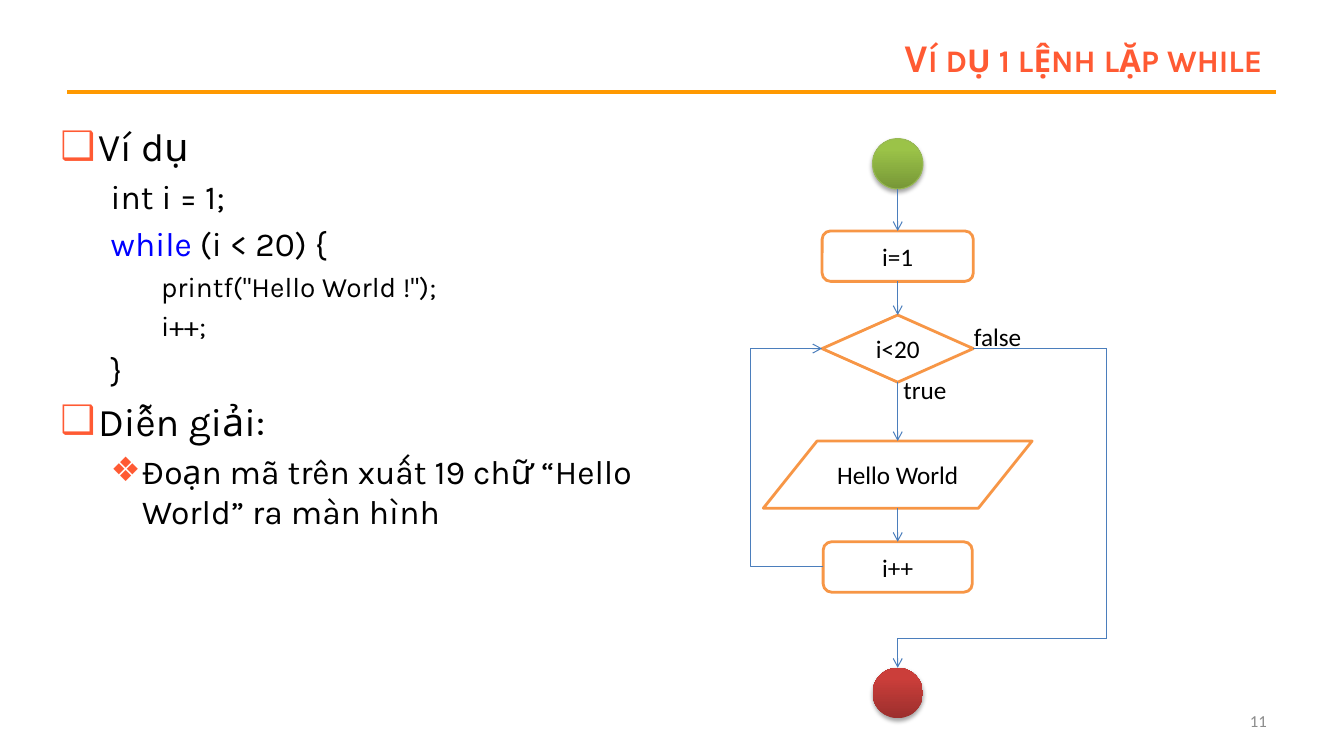
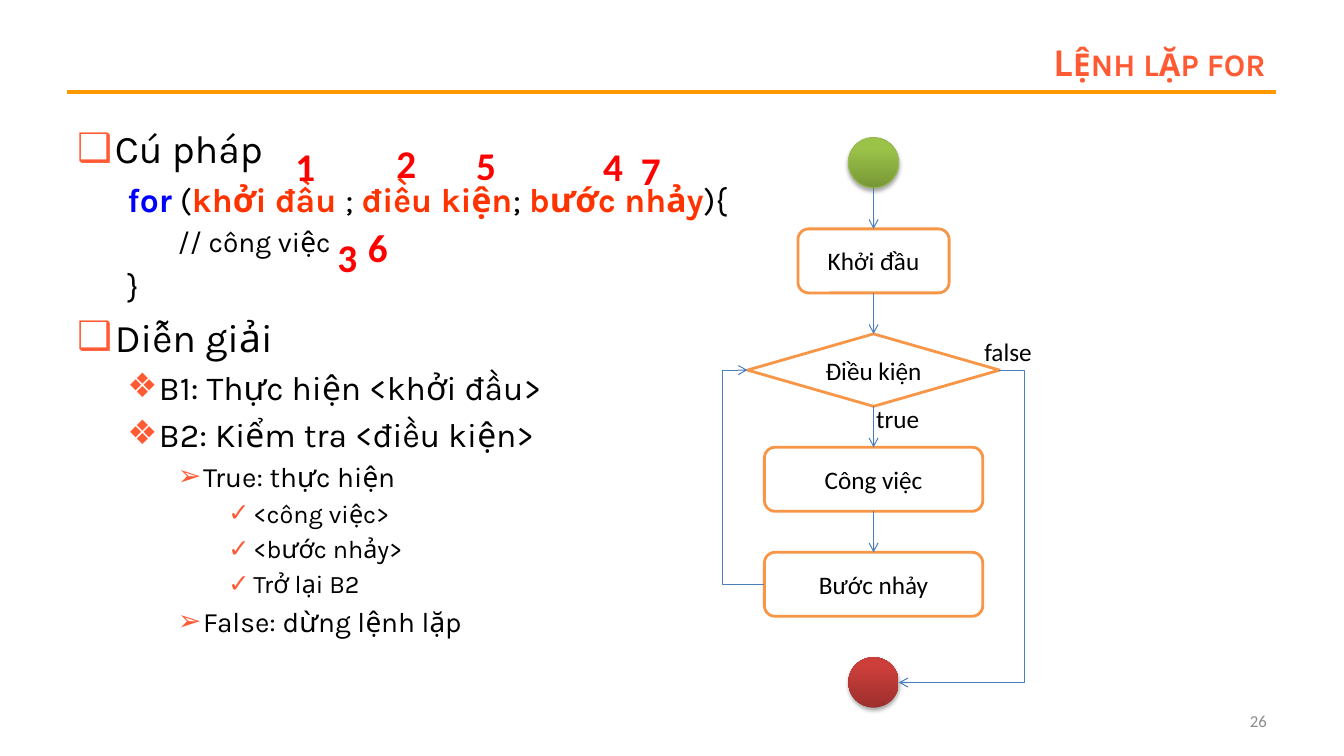
from itertools import pairwise

from lxml import etree
from pptx import Presentation
from pptx.dml.color import RGBColor
from pptx.enum.shapes import MSO_CONNECTOR, MSO_SHAPE
from pptx.enum.text import MSO_ANCHOR, MSO_AUTO_SIZE, PP_ALIGN
from pptx.oxml.ns import qn
from pptx.util import Pt

EMU_PER_PX = 9525
SLIDE_W, SLIDE_H = 1280, 720
TOP, LEFT, BOTTOM, RIGHT = range(4)
STRAIGHT, ELBOW = MSO_CONNECTOR.STRAIGHT, MSO_CONNECTOR.ELBOW
OVAL, ROUNDED = MSO_SHAPE.OVAL, MSO_SHAPE.ROUNDED_RECTANGLE
DECISION, OUTPUT = MSO_SHAPE.FLOWCHART_DECISION, MSO_SHAPE.FLOWCHART_DATA
ALIGN_LEFT, ALIGN_CENTER, ALIGN_RIGHT = PP_ALIGN.LEFT, PP_ALIGN.CENTER, PP_ALIGN.RIGHT
ANCHOR_TOP, ANCHOR_MIDDLE = MSO_ANCHOR.TOP, MSO_ANCHOR.MIDDLE
NO_AUTOFIT = MSO_AUTO_SIZE.NONE

HEADING_FONT, DIAGRAM_FONT = "Karla", "Calibri"
BLACK, WHITE, RED = "000000", "FFFFFF", "FF0000"
ACCENT, RULE, NUMBER = "FF5A33", "FF9900", "8C8C8C"
KEYWORD, PARAMETER = "0000FF", "FF3300"
NODE_LINE, FLOW_LINE = "F79646", "4B7EBC"
START_COLORS, END_COLORS = ("779737", "9BC348"), ("9C2F2D", "CB3E3A")
TERMINAL = 48

OUTLINE = {
    "heading": (0, 28, 36, -36, "❑"),
    "code": (1, 24, 48, 0, None),
    "inner code": (2, 20, 96, 0, None),
    "point": (1, 24, 78, -30, "❖"),
    "case": (2, 20, 120, -24, "➢"),
    "step": (3, 18, 168, -24, "✓"),
}


def px(*lengths):
    return [round(length * EMU_PER_PX) for length in lengths]


def rgb(color):
    return RGBColor.from_string(color)


def write(paragraph, text, size=18, font=DIAGRAM_FONT, color=BLACK, bold=False,
          small_caps=False, align=None):
    if align is not None:
        paragraph.alignment = align
    run = paragraph.add_run()
    run.text = text
    run.font.size = Pt(size)
    run.font.name = font
    run.font.bold = bold
    run.font.color.rgb = rgb(color)
    if small_caps:
        run.font._element.set("cap", "small")


def add_label(slide, box, text, anchor=ANCHOR_TOP, **text_format):
    frame = slide.shapes.add_textbox(*px(*box)).text_frame
    frame.word_wrap = True
    frame.vertical_anchor = anchor
    write(frame.paragraphs[0], text, **text_format)


def add_line(slide, start, end, color=FLOW_LINE, width=0.75, arrow=False, kind=STRAIGHT):
    line = slide.shapes.add_connector(kind, *px(*start, *end))
    line.line.color.rgb = rgb(color)
    line.line.width = Pt(width)
    if arrow:
        etree.SubElement(line.line._get_or_add_ln(), qn("a:tailEnd"), type="arrow")
    etree.SubElement(line._element.spPr, qn("a:effectLst"))
    return line


def add_frame(slide, title_box, title_text, number):
    add_line(slide, (64, 88), (1215, 88), RULE, 3)
    add_label(slide, (917, 667, 299, 38), number, anchor=ANCHOR_MIDDLE,
              size=12, color=NUMBER, align=ALIGN_RIGHT)
    title = slide.shapes.title
    title.left, title.top, title.width, title.height = px(*title_box)
    frame = title.text_frame
    frame.auto_size = NO_AUTOFIT
    frame.vertical_anchor = ANCHOR_MIDDLE
    write(frame.paragraphs[0], title_text, size=28, font=HEADING_FONT, color=ACCENT,
          bold=True, small_caps=True, align=ALIGN_RIGHT)


def add_outline(slide, box, entries):
    frame = slide.shapes.add_textbox(*px(*box)).text_frame
    frame.word_wrap = True
    for index, (style, *runs) in enumerate(entries):
        level, size, margin, indent, bullet = OUTLINE[style]
        paragraph = frame.add_paragraph() if index else frame.paragraphs[0]
        paragraph.level = level
        paragraph.alignment = ALIGN_LEFT
        paragraph.space_before = Pt(size * 0.2)
        properties = paragraph._p.get_or_add_pPr()
        margin, indent = px(margin, indent)
        properties.set("marL", str(margin))
        properties.set("indent", str(indent))
        if bullet:
            bullet_color = etree.SubElement(properties, qn("a:buClr"))
            etree.SubElement(bullet_color, qn("a:srgbClr"), val=ACCENT)
            etree.SubElement(properties, qn("a:buFont"), typeface=HEADING_FONT)
            etree.SubElement(properties, qn("a:buChar"), char=bullet)
        for text, color, bold in runs:
            write(paragraph, text, size=size, font=HEADING_FONT, color=color, bold=bold)


def plain(text):
    return text, BLACK, False


def add_terminal(slide, center, top, colors, outline=None):
    terminal = slide.shapes.add_shape(
        OVAL, *px(center - TERMINAL / 2, top, TERMINAL, TERMINAL))
    terminal.fill.gradient()
    terminal.fill.gradient_angle = 90
    for stop, color, position in zip(terminal.fill.gradient_stops, colors, (0, 0.8)):
        stop.color.rgb = rgb(color)
        stop.position = position
    if outline:
        terminal.line.color.rgb = rgb(outline)
        terminal.line.width = Pt(0.75)
    else:
        terminal.line.fill.background()
    terminal.shadow.inherit = False
    effects = terminal._element.spPr.find(qn("a:effectLst"))
    shadow = etree.SubElement(effects, qn("a:outerShdw"), blurRad=str(Pt(3.1)),
                              dist=str(Pt(1.8)), dir="5400000", rotWithShape="0")
    shadow_color = etree.SubElement(shadow, qn("a:srgbClr"), val=BLACK)
    etree.SubElement(shadow_color, qn("a:alpha"), val="35000")
    return terminal


def add_node(slide, center, top, kind, text, width, height):
    node = slide.shapes.add_shape(kind, *px(center - width / 2, top, width, height))
    node.shadow.inherit = False
    node.fill.solid()
    node.fill.fore_color.rgb = rgb(WHITE)
    node.line.color.rgb = rgb(NODE_LINE)
    node.line.width = Pt(2)
    node.text_frame.vertical_anchor = ANCHOR_MIDDLE
    write(node.text_frame.paragraphs[0], text, align=ALIGN_CENTER)
    return node


def side_point(node, side):
    across, down = {TOP: (0.5, 0), LEFT: (0, 0.5), BOTTOM: (0.5, 1), RIGHT: (1, 0.5)}[side]
    return ((node.left + node.width * across) / EMU_PER_PX,
            (node.top + node.height * down) / EMU_PER_PX)


def join(slide, source, source_side, target, target_side, via_x=None):
    start, end = side_point(source, source_side), side_point(target, target_side)
    kind = STRAIGHT if via_x is None else ELBOW
    line = add_line(slide, start, end, arrow=True, kind=kind)
    links = line._element.nvCxnSpPr.cNvCxnSpPr
    if source.auto_shape_type != OUTPUT:
        line.begin_connect(source, source_side)
        if source.auto_shape_type == OVAL:
            links.stCxn.idx = source_side * 2
    if target.auto_shape_type != OUTPUT:
        line.end_connect(target, target_side)
        if target.auto_shape_type == OVAL:
            links.endCxn.idx = target_side * 2
    if via_x is not None:
        bend = round((via_x - start[0]) / (end[0] - start[0]) * 100000)
        guides = line._element.spPr.find(qn("a:prstGeom")).find(qn("a:avLst"))
        etree.SubElement(guides, qn("a:gd"), name="adj1", fmla=f"val {bend}")


def add_flowchart(slide, box, steps, gaps, loop_x, true_at, false_at):
    left, top, width, _ = box
    center = left + width / 2
    nodes = [add_terminal(slide, center, top, START_COLORS, "98B955")]
    top += TERMINAL
    for step, gap in zip(steps, gaps):
        top += gap
        nodes.append(add_node(slide, center, top, *step))
        top += step[-1]
    nodes.append(add_terminal(slide, center, top + gaps[-1], END_COLORS))
    for upper, lower in pairwise(nodes[:-1]):
        join(slide, upper, BOTTOM, lower, TOP)
    decision, last_step, end = nodes[2], nodes[-2], nodes[-1]
    join(slide, last_step, LEFT, decision, LEFT, left + loop_x)
    for text, (x, y) in (("true", true_at), ("false", false_at)):
        add_label(slide, (left + x, box[1] + y, 80, 38), text)
    return decision, end


def add_exit_route(slide, decision, end, exit_x, exit_y):
    start, finish = side_point(decision, RIGHT), side_point(end, TOP)
    corners = [start, (exit_x, start[1]), (exit_x, exit_y), (finish[0], exit_y)]
    for corner, following in pairwise(corners):
        add_line(slide, corner, following)
    add_line(slide, corners[-1], finish, arrow=True)


def add_order_marks(slide, box, marks):
    for order, (x, y) in enumerate(marks, 1):
        add_label(slide, (box[0] + x, box[1] + y, 40, 55), str(order),
                  size=28, color=RED, bold=True)


def build_while_slide(slide):
    add_frame(slide, (516, 29, 696, 51), "Ví dụ 1 lệnh lặp while", "11")
    add_outline(slide, (48, 112, 568, 552), [
        ("heading", plain("Ví dụ")),
        ("code", plain("int i = 1;")),
        ("code", ("while", KEYWORD, False), plain(" (i < 20) {")),
        ("inner code", plain('printf("Hello World !");')),
        ("inner code", plain("i++;")),
        ("code", plain("}")),
        ("heading", plain("Diễn giải:")),
        ("point", plain("Đoạn mã trên xuất 19 chữ “Hello World” ra màn hình")),
    ])
    steps = [
        (ROUNDED, "i=1", 144, 48),
        (DECISION, "i<20", 144, 64),
        (OUTPUT, "Hello World", 256, 64),
        (ROUNDED, "i++", 142, 48),
    ]
    decision, end = add_flowchart(slide, (714, 132, 282, 552), steps, (40, 32, 56, 32, 72),
                                  loop_x=0, true_at=(137, 220), false_at=(204, 169))
    add_exit_route(slide, decision, end, 1054, 608)


def build_for_slide(slide):
    add_frame(slide, (519, 32, 696, 51), "Lệnh lặp for", "26")
    outline_box = (64, 114, 864, 552)
    add_outline(slide, outline_box, [
        ("heading", plain("Cú pháp")),
        ("code", ("for", KEYWORD, True), plain(" ("), ("khởi đầu ", PARAMETER, True),
         plain("; "), ("điều kiện", PARAMETER, True), plain("; "),
         ("bước nhảy", PARAMETER, True), plain("){")),
        ("inner code", plain("// công việc")),
        ("code", plain("}")),
        ("heading", plain("Diễn giải")),
        ("point", plain("B1: Thực hiện <khởi đầu>")),
        ("point", plain("B2: Kiểm tra <điều kiện>")),
        ("case", plain("True: thực hiện")),
        ("step", plain("<công việc>")),
        ("step", plain("<bước nhảy>")),
        ("step", plain("Trở lại B2")),
        ("case", plain("False: dừng lệnh lặp")),
    ])
    steps = [
        (ROUNDED, "Khởi đầu", 144, 61),
        (DECISION, "Điều kiện", 240, 69),
        (ROUNDED, "Công việc", 208, 61),
        (ROUNDED, "Bước nhảy", 208, 61),
    ]
    decision, end = add_flowchart(slide, (688, 131, 288, 543), steps, [39] * 5,
                                  loop_x=0, true_at=(137, 248), false_at=(240, 185))
    join(slide, decision, RIGHT, end, RIGHT, 976)
    add_order_marks(slide, outline_box, [
        (208, 17), (304, 14), (248, 103), (501, 17), (380, 16), (277, 94), (537, 21)])


def main():
    deck = Presentation()
    deck.slide_width, deck.slide_height = px(SLIDE_W, SLIDE_H)
    title_only = deck.slide_layouts[5]
    for build in (build_while_slide, build_for_slide):
        build(deck.slides.add_slide(title_only))
    deck.save("out.pptx")


if __name__ == "__main__":
    main()
